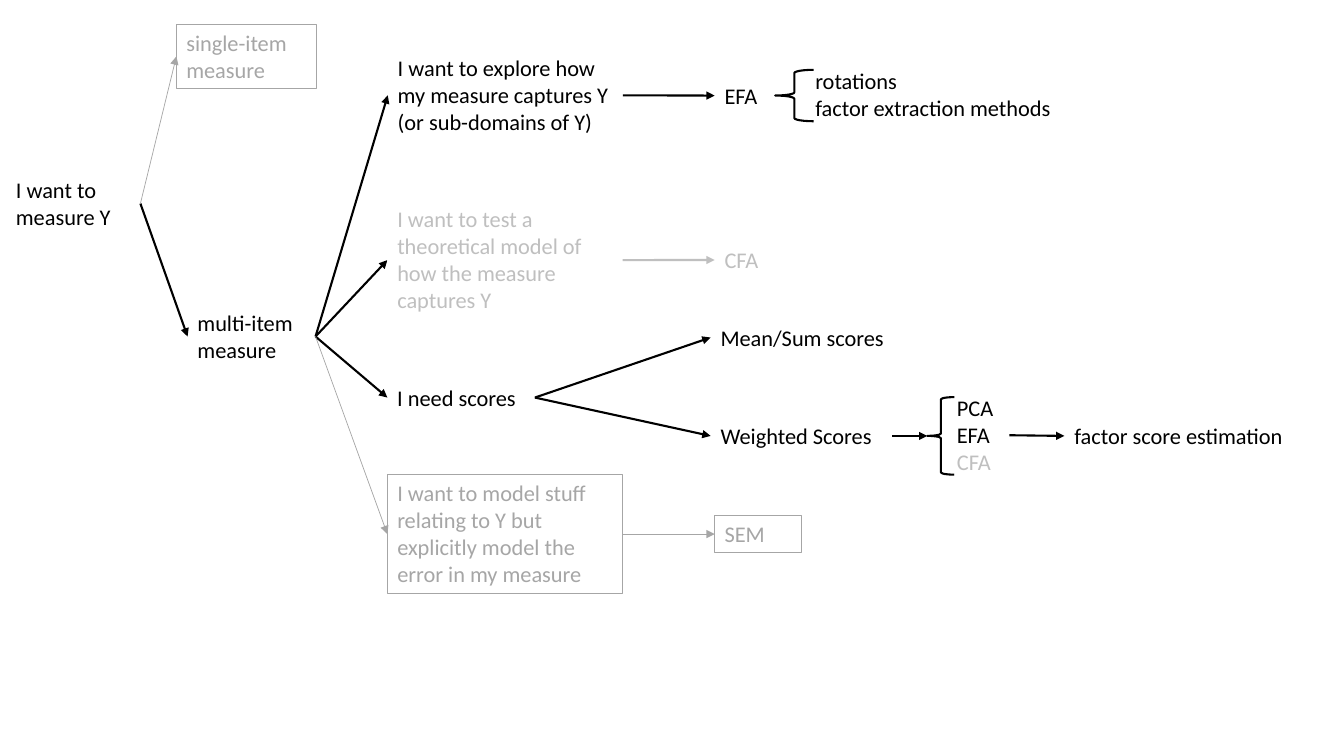
"""Decision tree for choosing a measurement model, built as one slide."""
from dataclasses import dataclass

from lxml import etree
from pptx import Presentation
from pptx.dml.color import RGBColor
from pptx.enum import shapes, text
from pptx.oxml import ns
from pptx.util import Pt


@dataclass(frozen=True)
class Theme:
    """Colours, type and line widths."""
    ink: str = "000000"
    muted: str = "A6A6A6"
    paper: str = "FFFFFF"
    font: str = "Calibri"
    size: float = 16
    bold_line: float = 1.5
    box_line: float = 0.75
    thin_line: float = 0.5
    veil_alpha: int = 75


class Diagram:
    """Draws the elements of the tree on the current slide."""

    def __init__(self, prs, theme):
        """Add a blank slide to draw on."""
        self.theme = theme
        self.s = prs.slides.add_slide(prs.slide_layouts[6])

    def shape(self, kind, *box):
        """Add an unfilled, unlined preset shape without a shadow."""
        sp = self.s.shapes.add_shape(kind, *map(Pt, box))
        sp.shadow.inherit = False
        sp.fill.background()
        sp.line.fill.background()
        return sp

    def stroke(self, line, color, width):
        """Give a line its colour and width."""
        line.color.rgb = RGBColor.from_string(color)
        line.width = Pt(width)

    def label(self, box, lines, muted=False):
        """Add a text box, or a framed grey box when muted."""
        t = self.theme
        if muted:
            sp = self.shape(shapes.MSO_SHAPE.RECTANGLE, *box)
            self.stroke(sp.line, t.muted, t.box_line)
        else:
            sp = self.s.shapes.add_textbox(*map(Pt, box))
        tf = sp.text_frame
        tf.text = lines
        frame = {"word_wrap": True,
                 "auto_size": text.MSO_AUTO_SIZE.SHAPE_TO_FIT_TEXT,
                 "vertical_anchor": text.MSO_ANCHOR.TOP}
        for name, value in frame.items():
            setattr(tf, name, value)
        for p in tf.paragraphs:
            p.alignment = text.PP_ALIGN.LEFT
            for r in p.runs:
                for name, value in {"name": t.font, "size": Pt(t.size)}.items():
                    setattr(r.font, name, value)
                r.font.color.rgb = RGBColor.from_string(t.muted if muted else t.ink)
        return sp

    def brace(self, *box):
        """Add a left brace."""
        sp = self.shape(shapes.MSO_SHAPE.LEFT_BRACE, *box)
        self.stroke(sp.line, self.theme.ink, self.theme.bold_line)
        return sp

    def arrow(self, start, end, muted=False):
        """Join the right side of one shape to the left side of another."""
        t = self.theme
        c = self.s.shapes.add_connector(shapes.MSO_CONNECTOR.STRAIGHT, 0, 0, 0, 0)
        c.begin_connect(start, 3)
        c.end_connect(end, 1)
        self.stroke(c.line, t.muted if muted else t.ink,
                    t.thin_line if muted else t.bold_line)
        etree.SubElement(c.line._get_or_add_ln(), ns.qn("a:tailEnd"), type="triangle")
        etree.SubElement(c._element.spPr, ns.qn("a:effectLst"))

    def veil(self, *box):
        """Fade what lies below with a translucent white rectangle."""
        sp = self.shape(shapes.MSO_SHAPE.RECTANGLE, *box)
        sp.fill.solid()
        sp.fill.fore_color.rgb = RGBColor.from_string(self.theme.paper)
        clr = sp._element.spPr.find(".//" + ns.qn("a:srgbClr"))
        etree.SubElement(clr, ns.qn("a:alpha"), val=str(self.theme.veil_alpha * 1000))


LABELS = {
    "start": ((4.3, 122.4, 96, 46), "I want to measure Y"),
    "multi": ((134, 217.4, 91.4, 46), "multi-item measure"),
    "single": ((126, 17.3, 100.4, 46), "single-item measure"),
    "scores": ((276.7, 270.7, 105.4, 26.6), "I need scores"),
    "model": ((276.7, 339, 168, 85),
              "I want to model stuff relating to Y but\n"
              "explicitly model the error in my measure"),
    "explore": ((277, 35.4, 168, 65.4),
                "I want to explore how my measure captures Y (or sub-domains of Y)"),
    "test": ((276.7, 143.3, 168, 85),
             "I want to test a theoretical model of how the measure captures Y"),
    "efa": ((510.5, 55, 62, 26.6), "EFA"),
    "options": ((575.3, 44.4, 224.6, 46), "rotations\nfactor extraction methods"),
    "mean": ((507.6, 227.8, 154.8, 26.6), "Mean/Sum scores"),
    "weighted": ((507.6, 298.1, 129.6, 26.6), "Weighted Scores"),
    "estimation": ((760.3, 298.1, 181.6, 26.6), "factor score estimation"),
    "methods": ((676.4, 278.2, 44.6, 65.4), "PCA\nEFA\nCFA"),
    "cfa": ((510.5, 172.4, 62, 26.6), "CFA"),
    "sem": ((510.5, 368.2, 62, 26.6), "SEM"),
}
MUTED = {"single", "model", "sem"}
BRANCHES = {
    "start": ["multi", "single"],
    "multi": ["explore", "test", "scores", "model"],
    "scores": ["mean", "weighted"],
    "weighted": ["methods_brace"],
    "methods": ["estimation"],
    "explore": ["efa"],
    "test": ["cfa"],
    "model": ["sem"],
}


def main():
    """Build and save the slide."""
    prs = Presentation()
    prs.slide_width, prs.slide_height = Pt(960), Pt(540)
    d = Diagram(prs, Theme())
    nodes = {key: d.label(box, lines, key in MUTED)
             for key, (box, lines) in LABELS.items()}
    nodes["methods_brace"] = d.brace(662.4, 283.7, 19.4, 55.4)
    d.brace(553.7, 49.9, 27.4, 36.7)
    for start, ends in BRANCHES.items():
        for end in ends:
            d.arrow(nodes[start], nodes[end], end in MUTED)
    d.veil(276.5, 135.4, 365, 95)
    d.veil(681.8, 324, 67.7, 95)
    prs.save("out.pptx")


if __name__ == "__main__":
    main()
